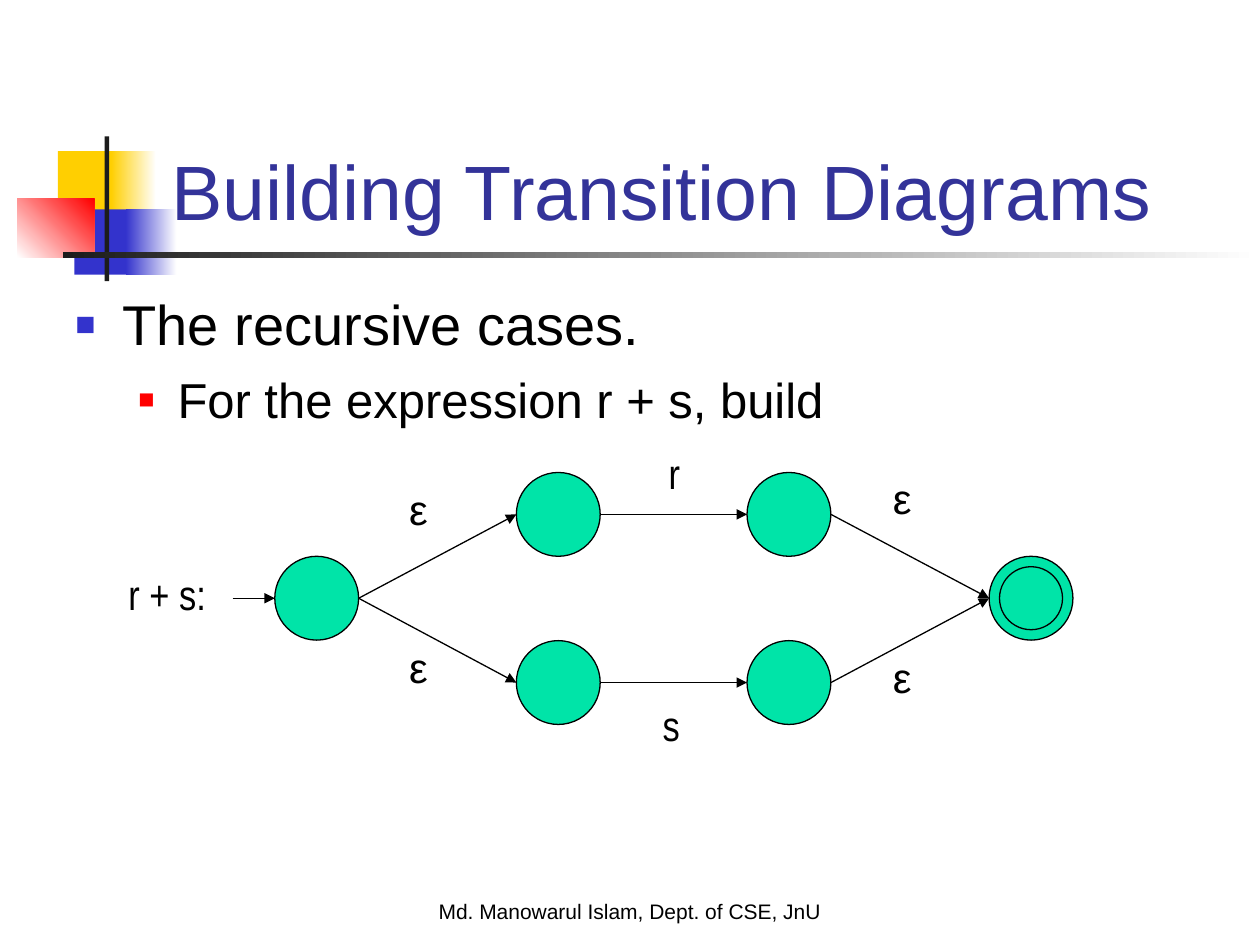
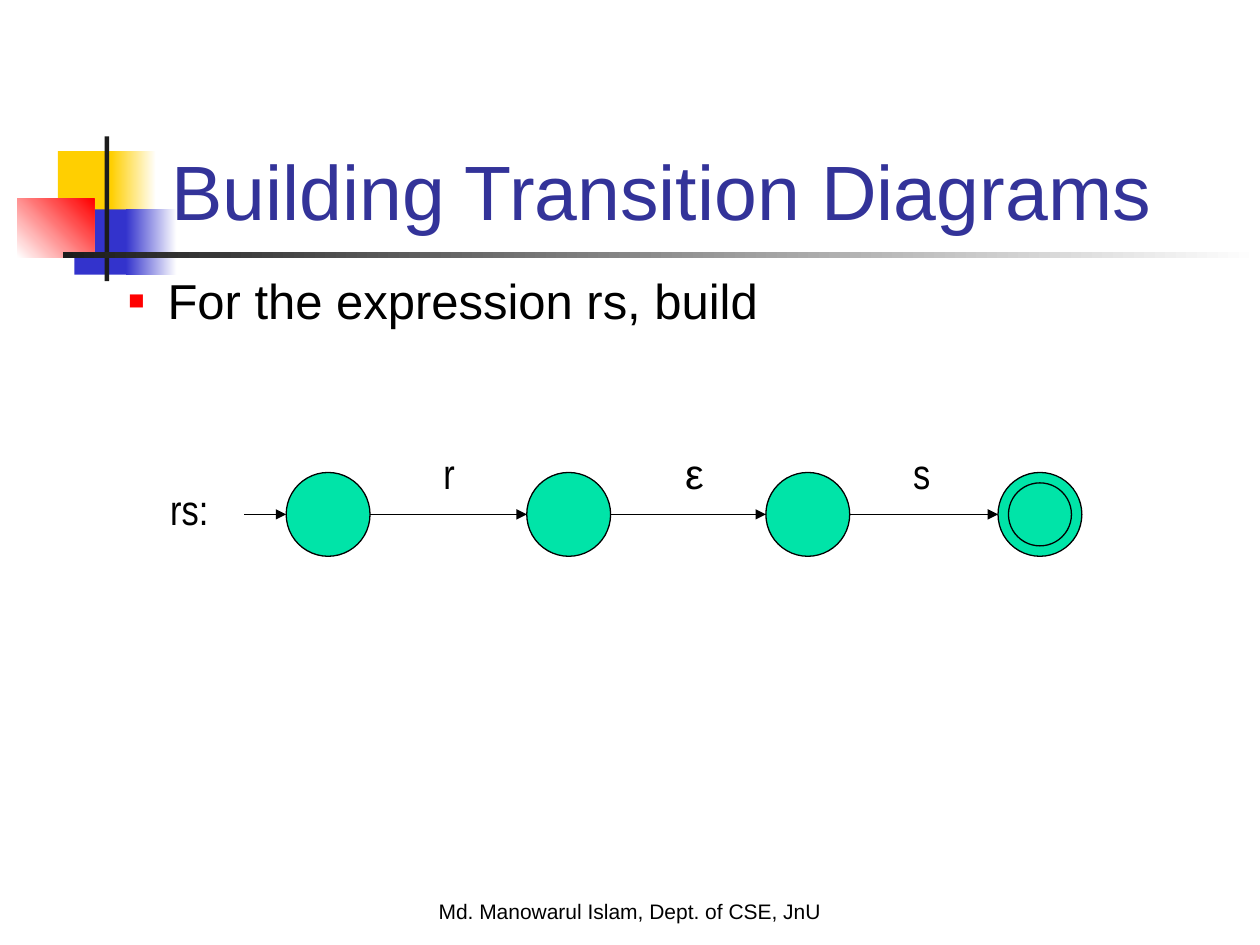
from dataclasses import dataclass

from lxml import etree
from pptx import Presentation
from pptx import util as u
from pptx.dml.color import RGBColor
from pptx.enum import shapes, text
from pptx.oxml import ns

WHITE = RGBColor(0xFF, 0xFF, 0xFF)
BLACK = RGBColor(0x00, 0x00, 0x00)
CHARCOAL = RGBColor(0x1C, 0x1C, 0x1C)
YELLOW = RGBColor(0xFF, 0xCF, 0x01)
BLUE = RGBColor(0x33, 0x33, 0xCC)
RED = RGBColor(0xFF, 0x00, 0x00)
INDIGO = RGBColor(0x33, 0x33, 0x99)
MINT = RGBColor(0x00, 0xE4, 0xA8)

PAGE_WIDTH, PAGE_HEIGHT = 25.4, 19.05
DIAMETER, RING, LABEL_HEIGHT, START_LENGTH = 1.69, 1.27, 1.27, 0.85
UPPER, MIDDLE, LOWER = 10.37, 12.06, 13.76
SANS, NARROW = "Arial", "Arial Narrow"


@dataclass(frozen=True)
class Block:
    """A rectangle of the title decoration; two colours make a gradient."""
    left: float
    top: float
    width: float
    height: float
    colours: tuple[RGBColor, ...]
    angle: float = 0


@dataclass(frozen=True)
class Level:
    """The look of one bullet level."""
    size: int
    colour: RGBColor
    percent: int
    margin: float
    hanging: float


@dataclass(frozen=True)
class State:
    """A state of the automaton, placed by its left edge and its middle."""
    left: float
    middle: float
    final: bool = False

    @property
    def right(self) -> float:
        """Return the right edge."""
        return self.left + DIAMETER


@dataclass(frozen=True)
class Label:
    """A piece of text beside an arrow."""
    words: str
    left: float
    top: float
    width: float
    font: str = NARROW


@dataclass(frozen=True)
class Diagram:
    """A bullet list and the automaton below it; the first state starts."""
    body: tuple[float, float, float]
    bullets: tuple[tuple[str, Level], ...]
    states: tuple[State, ...]
    moves: tuple[tuple[int, int], ...]
    labels: tuple[Label, ...]


DECORATION = (
    Block(1.17, 3.05, 1.22, 1.32, (YELLOW,)),
    Block(2.24, 3.05, 0.91, 1.32, (YELLOW, WHITE)),
    Block(1.5, 4.22, 1.17, 1.32, (BLUE,)),
    Block(2.54, 4.22, 1.02, 1.32, (BLUE, WHITE)),
    Block(0.35, 4.01, 1.55, 1.18, (WHITE, RED), 45),
    Block(2.11, 2.75, 0.09, 2.92, (CHARCOAL,)),
    Block(1.27, 5.08, 24.13, 0.12, (CHARCOAL, WHITE)),
)
TOPIC = Level(32, BLUE, 60, 0.95, 0.95)
DETAIL = Level(28, RED, 55, 2.06, 0.79)

DIAGRAMS = (
    Diagram(
        (1.27, 5.72, 3.86),
        (("The recursive cases.", TOPIC), ("For the expression r + s, build", DETAIL)),
        (State(5.54, MIDDLE), State(10.41, UPPER), State(15.06, UPPER),
         State(10.41, LOWER), State(15.06, LOWER), State(19.94, MIDDLE, True)),
        ((0, 1), (1, 2), (2, 5), (0, 3), (3, 4), (4, 5)),
        (Label("r + s:", 2.34, 11.33, 2.1), Label("r", 13.23, 8.89, 0.74),
         Label("s", 13.11, 13.97, 0.84), Label("ε", 8, 9.63, 0.86, SANS),
         Label("ε", 8, 12.8, 0.86, SANS), Label("ε", 17.75, 9.4, 0.86, SANS),
         Label("ε", 17.75, 13, 0.86, SANS)),
    ),
    Diagram(
        (1.07, 5.33, 2.29),
        (("For the expression rs, build", DETAIL),),
        (State(5.77, UPPER), State(10.62, UPPER), State(15.44, UPPER),
         State(20.12, UPPER, True)),
        ((0, 1), (1, 2), (2, 3)),
        (Label("rs:", 3.18, 9.63, 1.3), Label("r", 8.69, 8.89, 0.74),
         Label("ε", 13.56, 8.89, 0.86, SANS), Label("s", 18.16, 8.89, 0.84)),
    ),
)


def apply(target, formats: dict) -> None:
    """Set each named attribute on the target."""
    for name, value in formats.items():
        setattr(target, name, value)


def add_frame(page, left: float, top: float, width: float, height: float, **formats):
    """Add a text box and return its text frame."""
    box = page.shapes.add_textbox(u.Cm(left), u.Cm(top), u.Cm(width), u.Cm(height))
    apply(box.text_frame, {"word_wrap": True, **formats})
    return box.text_frame


def write(para, words: str, size: int, colour: RGBColor = BLACK, font: str = SANS) -> None:
    """Add one formatted span to a paragraph."""
    span = para.add_run()
    span.text = words
    apply(span.font, {"size": u.Pt(size), "name": font})
    span.font.color.rgb = colour


def add_block(page, block: Block) -> None:
    """Draw one rectangle of the decoration."""
    shape = page.shapes.add_shape(
        shapes.MSO_SHAPE.RECTANGLE, u.Cm(block.left), u.Cm(block.top),
        u.Cm(block.width), u.Cm(block.height))
    shape.shadow.inherit = False
    shape.line.fill.background()
    if len(block.colours) == 1:
        shape.fill.solid()
        shape.fill.fore_color.rgb = block.colours[0]
        return
    shape.fill.gradient()
    shape.fill.gradient_angle = block.angle
    for stop, colour in zip(shape.fill.gradient_stops, block.colours):
        stop.color.rgb = colour


def add_bullet(para, level: Level) -> None:
    """Give a paragraph a square bullet and a hanging indent."""
    properties = para._p.get_or_add_pPr()
    properties.set("marL", str(u.Cm(level.margin)))
    properties.set("indent", str(-u.Cm(level.hanging)))
    colour = etree.SubElement(properties, ns.qn("a:buClr"))
    etree.SubElement(colour, ns.qn("a:srgbClr"), val=str(level.colour))
    etree.SubElement(properties, ns.qn("a:buSzPct"), val=str(level.percent * 1000))
    etree.SubElement(properties, ns.qn("a:buFont"), typeface=SANS)
    etree.SubElement(properties, ns.qn("a:buChar"), char="■")


def add_body(page, diagram: Diagram) -> None:
    """Write the bullet list."""
    left, top, height = diagram.body
    frame = add_frame(page, left, top, 22.86, height)
    for index, (words, level) in enumerate(diagram.bullets):
        para = frame.add_paragraph() if index else frame.paragraphs[0]
        add_bullet(para, level)
        if index:
            para.space_before = u.Pt(7)
        write(para, words, level.size)


def add_circle(page, state: State, diameter: float) -> None:
    """Draw a circle centred on a state."""
    inset = (DIAMETER - diameter) / 2
    circle = page.shapes.add_shape(
        shapes.MSO_SHAPE.OVAL, u.Cm(state.left + inset),
        u.Cm(state.middle - diameter / 2), u.Cm(diameter), u.Cm(diameter))
    circle.shadow.inherit = False
    circle.fill.solid()
    circle.fill.fore_color.rgb = MINT
    circle.line.color.rgb = BLACK
    circle.line.width = u.Pt(0.75)


def add_arrow(page, start: tuple[float, float], end: tuple[float, float]) -> None:
    """Draw a straight arrow between two points."""
    arrow = page.shapes.add_connector(
        shapes.MSO_CONNECTOR.STRAIGHT, *(u.Cm(value) for value in start + end))
    arrow.line.color.rgb = BLACK
    arrow.line.width = u.Pt(0.75)
    etree.SubElement(arrow.line._get_or_add_ln(), ns.qn("a:tailEnd"), type="triangle")
    etree.SubElement(arrow._element.spPr, ns.qn("a:effectLst"))


def add_automaton(page, diagram: Diagram) -> None:
    """Draw the states, the arrows and their labels."""
    for state in diagram.states:
        add_circle(page, state, DIAMETER)
        if state.final:
            add_circle(page, state, RING)
    first = diagram.states[0]
    add_arrow(page, (first.left - START_LENGTH, first.middle), (first.left, first.middle))
    for source, target in diagram.moves:
        before, after = diagram.states[source], diagram.states[target]
        add_arrow(page, (before.right, before.middle), (after.left, after.middle))
    for label in diagram.labels:
        frame = add_frame(page, label.left, label.top, label.width, LABEL_HEIGHT,
                          word_wrap=False, auto_size=text.MSO_AUTO_SIZE.SHAPE_TO_FIT_TEXT)
        write(frame.paragraphs[0], label.words, 24, font=label.font)


def add_page(deck, diagram: Diagram) -> None:
    """Build one slide with its shared decoration, footer and title."""
    page = deck.slides.add_slide(deck.slide_layouts[6])
    for block in DECORATION:
        add_block(page, block)
    footer = add_frame(page, 0, 17.98, PAGE_WIDTH, 1.27).paragraphs[0]
    footer.alignment = text.PP_ALIGN.CENTER
    write(footer, "Md. Manowarul Islam, Dept. of CSE, JnU", 12)
    title = add_frame(page, 3.2, 1.7, 21.64, 3.18, vertical_anchor=text.MSO_ANCHOR.BOTTOM)
    write(title.paragraphs[0], "Building Transition Diagrams", 44, INDIGO)
    add_body(page, diagram)
    add_automaton(page, diagram)


def main() -> None:
    """Build and save the deck."""
    deck = Presentation()
    apply(deck, {"slide_width": u.Cm(PAGE_WIDTH), "slide_height": u.Cm(PAGE_HEIGHT)})
    for diagram in DIAGRAMS:
        add_page(deck, diagram)
    deck.save("out.pptx")


if __name__ == "__main__":
    main()
